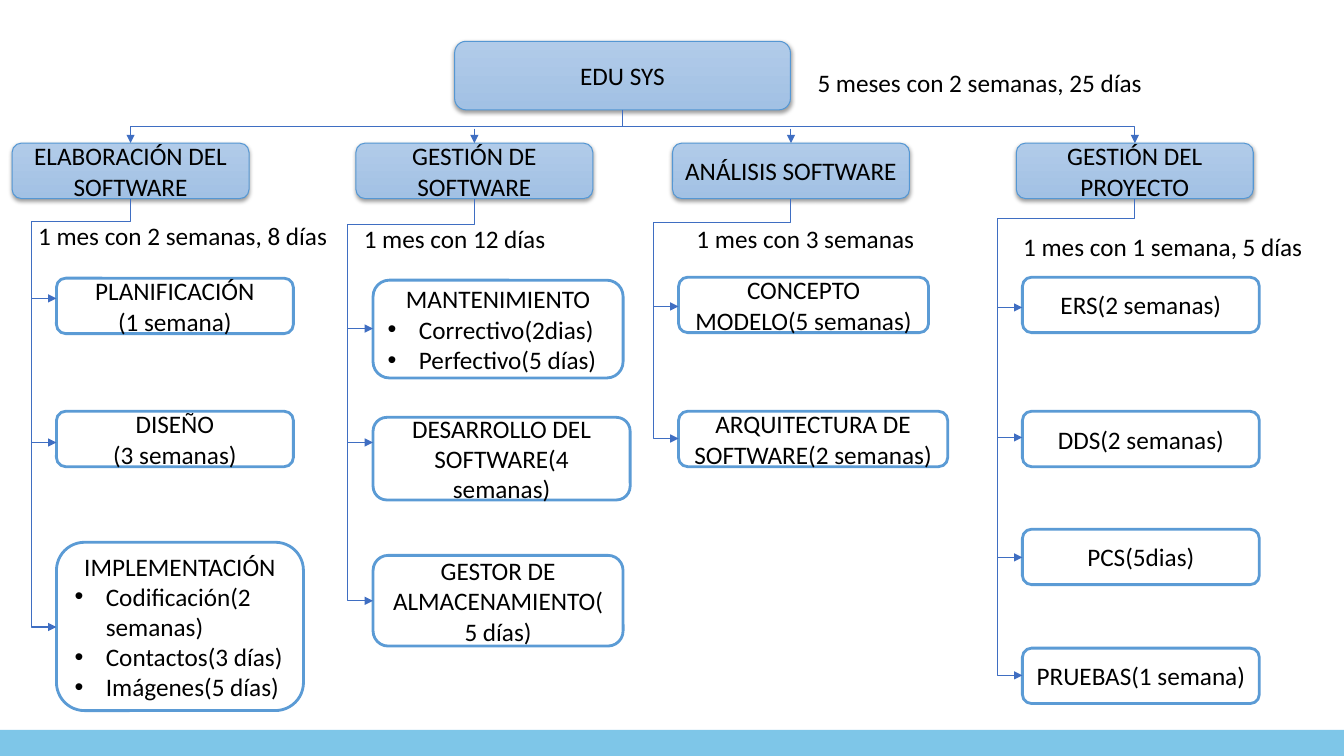
from lxml import etree
from pptx import Presentation
from pptx.dml.color import RGBColor
from pptx.enum.shapes import MSO_CONNECTOR as CONN, MSO_SHAPE as SHAPE
from pptx.enum.text import MSO_ANCHOR as ANCHOR, MSO_AUTO_SIZE as AUTO, PP_ALIGN as ALIGN
from pptx.oxml.ns import qn
from pptx.util import Inches, Pt

COLORS = {"text": "000000", "white": "FFFFFF", "head_top": "B1CBE9",
          "head_bottom": "A2C1E4", "head_line": "5597D3",
          "task_line": "5B9BD5", "arrow": "3F6EC2", "footer": "7EC6E8"}
HEAD_W, HEAD_H, HEAD_Y = 2.35, 0.55, 1.42
TASK_W, TASK_H, STUB = 2.35, 0.55, 0.25
ROOT = (4.51, 0.41, 3.33, 0.68)

# Each phase: left edge, trunk offset, trunk turn, note offset and text, tasks.
# Each task: top, width, height, arrow height, lines (a leading * is a bullet).
PHASES = [
    (0.12, 0.19, 2.2, (0.16, 2.14, 3.07), "ELABORACIÓN DEL SOFTWARE",
     "1 mes con 2 semanas, 8 días", [
         (2.76, TASK_W, TASK_H, 2.96, ["PLANIFICACIÓN", "(1 semana)"]),
         (4.08, TASK_W, TASK_H, 4.39, ["DISEÑO", "(3 semanas)"]),
         (5.38, 2.45, 1.67, 6.22, ["IMPLEMENTACIÓN", "*Codificación(2 semanas)",
                                   "*Contactos(3 días)", "*Imágenes(5 días)"])]),
    (3.53, -0.08, 2.23, (-0.02, 2.17, 2.0), "GESTIÓN DE SOFTWARE",
     "1 mes con 12 días", [
         (2.78, 2.48, 0.97, 3.26, ["MANTENIMIENTO", "*Correctivo(2dias)",
                                   "*Perfectivo(5 días)"]),
         (4.14, 2.55, 0.82, 4.39, ["DESARROLLO DEL SOFTWARE(4 semanas)"]),
         (5.51, 2.48, 0.9, 5.96, ["GESTOR DE ALMACENAMIENTO(5 días)"])]),
    (6.67, -0.19, 2.21, (0.14, 2.17, 2.36), "ANÁLISIS SOFTWARE",
     "1 mes con 3 semanas", [
         (2.75, 2.48, TASK_H, 3.04, ["CONCEPTO MODELO(5 semanas)"]),
         (4.08, 2.67, TASK_H, 4.35, ["ARQUITECTURA DE SOFTWARE(2 semanas)"])]),
    (10.08, -0.19, 2.17, (-0.03, 2.25, 2.97), "GESTIÓN DEL PROYECTO",
     "1 mes con 1 semana, 5 días", [
         (2.75, TASK_W, TASK_H, 3.05, ["ERS(2 semanas)"]),
         (4.08, TASK_W, TASK_H, 4.34, ["DDS(2 semanas)"]),
         (5.25, TASK_W, TASK_H, 5.53, ["PCS(5dias)"]),
         (6.43, TASK_W, TASK_H, 6.7, ["PRUEBAS(1 semana)"])]),
]


def rgb(name):
    """Return the named palette colour."""
    return RGBColor.from_string(COLORS[name])


def add_line(tf, i, text, align):
    """Write one line of text, as a bullet when it starts with *."""
    p = tf.paragraphs[0] if i == 0 else tf.add_paragraph()
    p.alignment = align
    if text.startswith("*"):
        p.alignment = ALIGN.JUSTIFY
        pPr = p._p.get_or_add_pPr()
        pPr.set("marL", str(Inches(0.31)))
        pPr.set("indent", str(-Inches(0.31)))
        etree.SubElement(pPr, qn("a:buFont")).set("typeface", "Arial")
        etree.SubElement(pPr, qn("a:buChar")).set("char", "•")
    r = p.add_run()
    r.text = text.lstrip("*")
    r.font.name, r.font.size = "Calibri", Pt(18)
    r.font.color.rgb = rgb("text")


def add_box(s, x, y, w, h, lines, line, width):
    """Add a rounded white box with centred text."""
    sp = s.shapes.add_shape(SHAPE.ROUNDED_RECTANGLE, *map(Inches, (x, y, w, h)))
    sp.shadow.inherit = False
    sp.fill.solid()
    sp.fill.fore_color.rgb = rgb("white")
    sp.line.color.rgb, sp.line.width = rgb(line), Pt(width)
    tf = sp.text_frame
    tf.word_wrap, tf.vertical_anchor = True, ANCHOR.MIDDLE
    for i, text in enumerate(lines):
        add_line(tf, i, text, ALIGN.CENTER)
    return sp


def add_head(s, x, y, w, h, text):
    """Add a blue gradient heading box with a soft shadow."""
    sp = add_box(s, x, y, w, h, [text], "head_line", 0.75)
    sp.fill.gradient()
    sp.fill.gradient_angle = 270
    for stop, name, pos in zip(sp.fill.gradient_stops, ("head_top", "head_bottom"), (0, 1)):
        stop.color.rgb, stop.position = rgb(name), pos
    effects = sp._element.spPr.find(qn("a:effectLst"))
    shadow = etree.SubElement(effects, qn("a:outerShdw"), blurRad=str(Pt(3.1)),
                              dist=str(Pt(1.6)), dir="5400000", rotWithShape="0")
    color = etree.SubElement(shadow, qn("a:srgbClr"), val=COLORS["text"])
    etree.SubElement(color, qn("a:alpha"), val="38000")


def add_note(s, x, y, w, text):
    """Add a one-line duration label."""
    tf = s.shapes.add_textbox(*map(Inches, (x, y, w, 0.4))).text_frame
    tf.word_wrap, tf.auto_size = False, AUTO.SHAPE_TO_FIT_TEXT
    add_line(tf, 0, text, ALIGN.LEFT)


def add_arrow(s, x1, y1, x2, y2, kind=CONN.STRAIGHT):
    """Add a thin connector with an arrowhead at its end."""
    c = s.shapes.add_connector(kind, *map(Inches, (x1, y1, x2, y2)))
    c.line.color.rgb, c.line.width = rgb("arrow"), Pt(0.75)
    etree.SubElement(c.line._get_or_add_ln(), qn("a:tailEnd"), type="triangle")
    etree.SubElement(c._element.spPr, qn("a:effectLst"))
    return c


def add_elbow(s, x1, y1, x2, y2, turn_y, turn_x=None):
    """Add an elbow that leaves downwards, turns at turn_y and, if given, at turn_x."""
    drop, run = y2 - y1, abs(x2 - x1)
    x, y = (x1 + x2 - drop) / 2, (y1 + y2 - run) / 2
    c = add_arrow(s, x, y, x + drop, y + run, CONN.ELBOW)
    xfrm = c._element.spPr.get_or_add_xfrm()
    xfrm.set("rot", "5400000" if x2 < x1 else "16200000")
    if x2 > x1:
        xfrm.set("flipH", "1")
    bends = [(turn_y - y1) / drop]
    if turn_x is not None:
        bends.append((x1 - turn_x) / run)
    geom = c._element.spPr.find(qn("a:prstGeom"))
    geom.set("prst", f"bentConnector{len(bends) + 2}")
    guides = geom.find(qn("a:avLst"))
    for i, bend in enumerate(bends, 1):
        etree.SubElement(guides, qn("a:gd"), name=f"adj{i}",
                         fmla=f"val {round(bend * 100000)}")


def add_phase(s, left, trunk, turn, note, title, duration, tasks):
    """Add one phase column: heading, duration, tasks and their arrows."""
    add_head(s, left, HEAD_Y, HEAD_W, HEAD_H, title)
    bar = left + trunk
    for y, w, h, arrow_y, lines in tasks:
        add_box(s, bar + STUB, y, w, h, lines, "task_line", 2)
        if arrow_y != tasks[-1][3]:
            add_arrow(s, bar, arrow_y, bar + STUB, arrow_y)
    add_elbow(s, left + HEAD_W / 2, HEAD_Y + HEAD_H, bar + STUB, tasks[-1][3], turn, bar)
    dx, y, w = note
    add_note(s, left + dx, y, w, duration)


def add_root(s, x, y, w, h):
    """Add the project box, its duration and the arrows to every phase."""
    add_head(s, x, y, w, h, "EDU SYS")
    add_note(s, x + w + 0.17, y + 0.21, 3.42, "5 meses con 2 semanas, 25 días")
    middle, bottom = x + w / 2, y + h
    turn = (bottom + HEAD_Y) / 2
    centers = [phase[0] + HEAD_W / 2 for phase in PHASES]
    for center in (centers[0], centers[-1]):
        add_elbow(s, middle, bottom, center, HEAD_Y, turn)
    for center in centers[1:-1]:
        add_arrow(s, center, turn + 0.02, center, HEAD_Y)


def add_footer(s, x, y, w, h):
    """Add the plain band along the bottom."""
    sp = s.shapes.add_shape(SHAPE.RECTANGLE, *map(Inches, (x, y, w, h)))
    sp.shadow.inherit = False
    sp.fill.solid()
    sp.fill.fore_color.rgb = rgb("footer")
    sp.line.fill.background()


prs = Presentation()
prs.slide_width, prs.slide_height = Inches(13.33), Inches(7.5)
s = prs.slides.add_slide(prs.slide_layouts[6])
add_footer(s, 0, 7.24, 13.33, 0.26)
add_root(s, *ROOT)
for phase in PHASES:
    add_phase(s, *phase)
prs.save("out.pptx")
